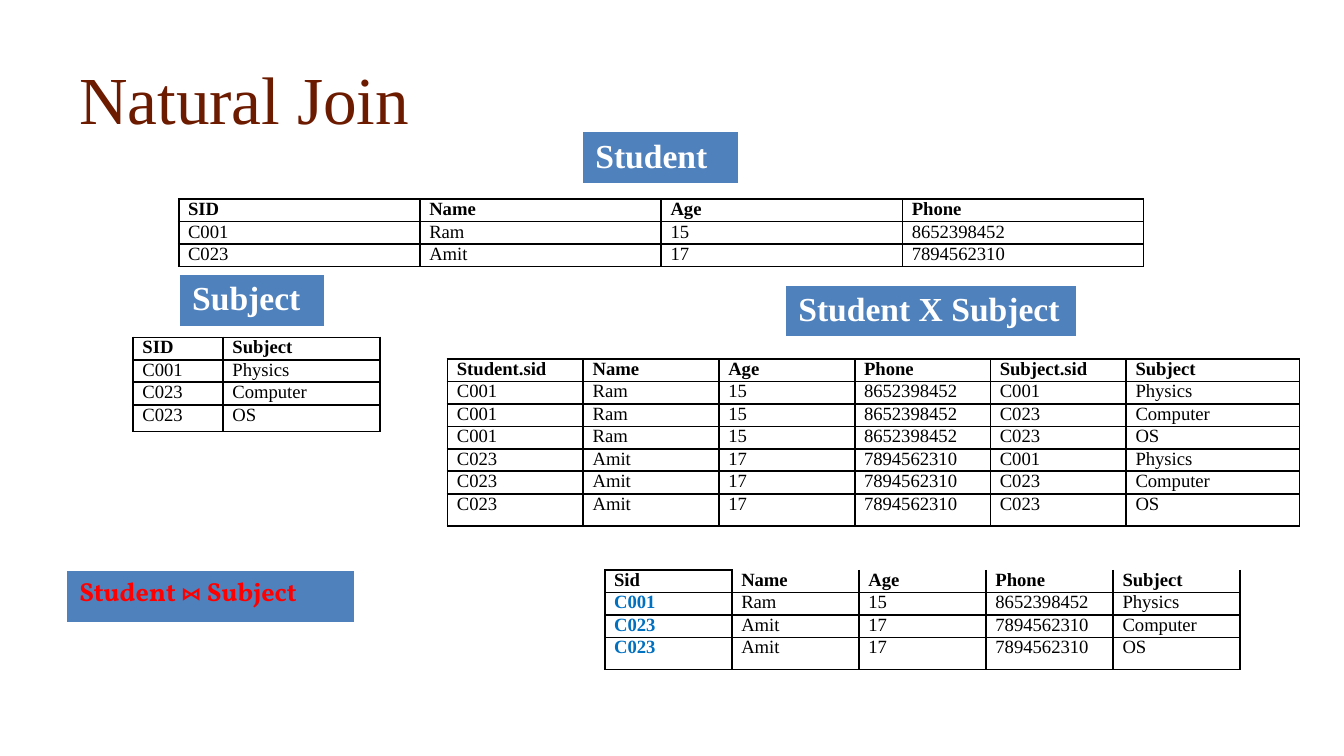
from lxml import etree
from pptx import Presentation
from pptx.dml.color import RGBColor
from pptx.enum import text
from pptx.oxml import ns
from pptx.util import Inches, Pt

BLACK = RGBColor(0x00, 0x00, 0x00)
WHITE = RGBColor(0xFF, 0xFF, 0xFF)
BROWN = RGBColor(0x6C, 0x1A, 0x00)
RED = RGBColor(0xFF, 0x00, 0x00)
LABEL_BLUE = RGBColor(0x4F, 0x81, 0xBD)
KEY_BLUE = RGBColor(0x00, 0x70, 0xC0)
SERIF = "Times New Roman"

STUDENTS = [("C001", "Ram", "15", "8652398452"),
            ("C023", "Amit", "17", "7894562310")]
SUBJECTS = [("C001", "Physics"), ("C023", "Computer"), ("C023", "OS")]


def format_run(r, size, color, bold=False, font=SERIF):
    r.font.name = font
    r.font.size = Pt(size)
    r.font.bold = bold
    r.font.color.rgb = color


def set_borders(cell, color, widths):
    """Widths in points for left, right, top and bottom; 0 means no line."""
    tc_pr = cell._tc.get_or_add_tcPr()
    for i, (side, width) in enumerate(zip("LRTB", widths)):
        ln = etree.Element(ns.qn(f"a:ln{side}"), w=str(Pt(width)))
        if width:
            fill = etree.SubElement(ln, ns.qn("a:solidFill"))
            etree.SubElement(fill, ns.qn("a:srgbClr"), val=str(color))
        else:
            etree.SubElement(ln, ns.qn("a:noFill"))
        tc_pr.insert(i, ln)


def fill_cell(cell, color):
    cell.fill.solid()
    cell.fill.fore_color.rgb = color


def add_grid(s, left, top, height, cols, heights):
    frame = s.shapes.add_table(len(heights), len(cols), Inches(left), Inches(top),
                               Inches(sum(cols)), Inches(height))
    table = frame.table
    table.first_row = table.horz_banding = False
    for col, width in zip(table.columns, cols):
        col.width = Inches(width)
    for row, row_height in zip(table.rows, heights):
        row.height = Inches(row_height)
    frame.height = Inches(height)
    return table


def space(p):
    p.space_before = p.space_after = Pt(6)


def add_relation(s, left, top, height, cols, heights, rows, spaced=True, joined=False):
    table = add_grid(s, left, top, height, cols, heights)
    for i, values in enumerate(rows):
        for j, value in enumerate(values):
            cell = table.cell(i, j)
            cell.margin_left = cell.margin_right = Inches(0.07)
            cell.margin_top = cell.margin_bottom = 0
            fill_cell(cell, WHITE)
            # The joined relation has an open top right of its key column
            open_top = joined and i == 0 and j > 0
            set_borders(cell, BLACK, (1, 1, 0 if open_top else 1, 1))
            p = cell.text_frame.paragraphs[0]
            p.text = value
            if spaced and not (joined and i == j == 0):
                space(p)
            key = joined and i > 0 and j == 0
            format_run(p.runs[0], 10, KEY_BLUE if key else BLACK, i == 0 or key)


def add_label(s, left, top, width, parts, height=0.4, row=0.33, size=18,
              color=WHITE, spaced=False):
    cell = add_grid(s, left, top, height, [width], [row]).cell(0, 0)
    fill_cell(cell, LABEL_BLUE)
    set_borders(cell, WHITE, (1, 1, 1, 3))
    p = cell.text_frame.paragraphs[0]
    if spaced:
        space(p)
    for value, font in parts:
        r = p.add_run()
        r.text = value
        format_run(r, size, color, True, font)


def add_title(s, value):
    sp = s.shapes.add_textbox(Inches(0.49), Inches(0.31), Inches(9.02), Inches(0.84))
    tf = sp.text_frame
    tf.word_wrap = True
    tf.vertical_anchor = text.MSO_ANCHOR.MIDDLE
    tf.text = value
    format_run(tf.paragraphs[0].runs[0], 36, BROWN)


def main():
    prs = Presentation()
    prs.slide_width = Inches(10)
    prs.slide_height = prs.slide_width * 9 // 16
    s = prs.slides.add_slide(prs.slide_layouts[6])
    add_title(s, "Natural Join")

    # Source relations
    add_relation(s, 1.33, 1.48, 0.5, [7.18 / 4] * 4, [0.17, 0.13, 0.15],
                 [("SID", "Name", "Age", "Phone")] + STUDENTS)
    add_label(s, 4.33, 0.98, 1.17, [("Student", SERIF)])
    add_relation(s, 0.99, 2.51, 0.7, [0.67, 1.17], [0.06, 0.13, 0.13, 0.2],
                 [("SID", "Subject")] + SUBJECTS)
    add_label(s, 1.33, 2.04, 1.09, [("Subject", SERIF)], row=0.13)

    # Cartesian product
    product = [student + subject for student in STUDENTS for subject in SUBJECTS]
    add_label(s, 5.84, 2.12, 2.17, [("Student X Subject", SERIF)])
    add_relation(s, 3.33, 2.67, 1.24, [1.01] * 5 + [1.29], [0.15] * 6 + [0.24],
                 [("Student.sid", "Name", "Age", "Phone", "Subject.sid", "Subject")]
                 + product, spaced=False)

    # Natural join: product rows whose two keys match
    join = [row[:4] + row[5:] for row in product if row[0] == row[4]]
    add_label(s, 0.49, 4.24, 2.15,
              [("Student\u00a0", "Vollkorn"), ("\u22c8\u00a0", "Cambria"),
               ("Subject", "Vollkorn")],
              height=0.41, row=0.41, size=14, color=RED, spaced=True)
    add_relation(s, 4.5, 4.24, 0.74, [4.73 / 5] * 5, [0.06, 0.13, 0.13, 0.24],
                 [("Sid", "Name", "Age", "Phone", "Subject")] + join, joined=True)

    prs.save("out.pptx")


main()
